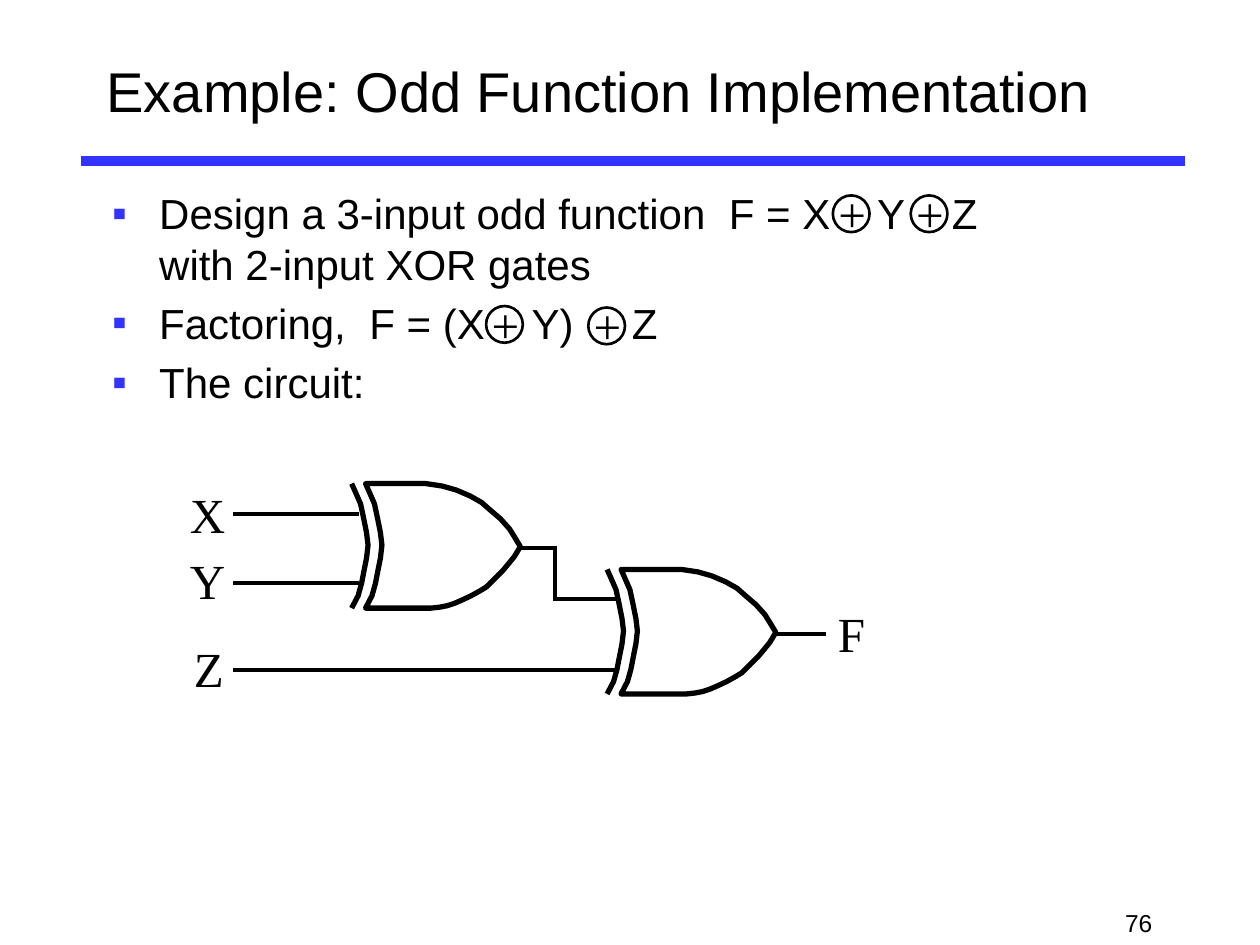
from dataclasses import dataclass

from lxml.etree import SubElement
from pptx import Presentation
from pptx.dml.color import RGBColor
from pptx.enum.shapes import MSO_CONNECTOR, MSO_SHAPE
from pptx.enum.text import MSO_ANCHOR, MSO_AUTO_SIZE
from pptx.oxml.ns import qn
from pptx.util import Cm, Pt

COLORS = {"ink": "000000", "accent": "3333FF"}
FONTS = {
    "title": {"name": "Arial", "size": Pt(32)},
    "body": {"name": "Arial", "size": Pt(24)},
    "number": {"name": "Arial", "size": Pt(14)},
    "label": {"name": "Times New Roman", "size": Pt(28)},
}
LABEL_FRAME = {"word_wrap": False, "auto_size": MSO_AUTO_SIZE.SHAPE_TO_FIT_TEXT}
WRAPPED_FRAME = {"word_wrap": True, "auto_size": MSO_AUTO_SIZE.NONE}

# Gate outline in hundredths of a centimetre, from its top left corner
UNIT = Cm(0.01)
GATE_REAR = [(0, 0), (8, 18), (18, 41), (24, 69), (30, 99), (33, 124),
             (30, 150), (25, 175), (20, 201), (13, 226), (0, 251)]
GATE_NOSE = [(92, 251), (132, 251), (150, 249), (165, 246), (180, 241), (196, 234),
             (213, 226), (231, 216), (244, 208), (254, 198), (267, 185),
             (277, 175), (287, 163), (300, 147), (312, 127), (300, 107),
             (290, 91), (272, 71), (251, 53), (234, 38), (211, 25),
             (183, 13), (155, 5), (122, 0)]
BOW_OFFSET = -28  # the second rear curve of an XOR gate


@dataclass
class Label:
    text: str
    left: float
    top: float
    width: float
    style: str = "label"


@dataclass
class Wire:
    x1: float
    y1: float
    x2: float
    y2: float
    color: str = "ink"
    weight: float = 2.25


@dataclass
class Gap:
    """A single space widened by some points."""
    extra: float


SYMBOL_GAP = Gap(20)
BULLETS = [
    ["Design a 3-input odd function", Gap(6.7), "F = X", SYMBOL_GAP, "Y",
     SYMBOL_GAP, "Z\vwith 2-input XOR gates"],
    ["Factoring,", Gap(6.7), "F = (X", SYMBOL_GAP, "Y)", Gap(26.7), "Z"],
    ["The circuit:"],
]
XOR_SYMBOLS = [(16.79, 3.94), (18.36, 3.94), (9.8, 6.17), (11.86, 6.2)]
GATES = [(7.37, 9.75), (12.52, 11.48)]
WIRES = [
    Wire(4.7, 10.36, 7.24, 10.36),  # X
    Wire(4.7, 11.76, 7.24, 11.76),  # Y
    Wire(4.7, 13.51, 12.4, 13.51),  # Z
    Wire(10.44, 11.05, 11.23, 11.05),  # first gate to second gate
    Wire(11.18, 11.05, 11.18, 12.07),
    Wire(11.15, 12.07, 12.45, 12.07),
    Wire(15.62, 12.78, 16.66, 12.78),  # F
]
LABELS = [
    Label("X", 3.58, 9.65, 1.22),
    Label("Y", 3.58, 10.97, 1.22),
    Label("Z", 3.66, 12.75, 1.12),
    Label("F", 16.64, 12.04, 1.07),
    Label("76", 22.43, 18.19, 1.12, "number"),
]


def rgb(color: str) -> RGBColor:
    return RGBColor.from_string(COLORS[color])


def set_line(line, color: str, weight: float) -> None:
    line.color.rgb = rgb(color)
    line.width = Pt(weight)


def add_run(paragraph, text: str, style: str):
    run = paragraph.add_run()
    run.text = text
    for name, value in FONTS[style].items():
        setattr(run.font, name, value)
    run.font.color.rgb = rgb("ink")
    return run


def add_frame(slide, left: float, top: float, width: float, height: float, settings: dict):
    frame = slide.shapes.add_textbox(Cm(left), Cm(top), Cm(width), Cm(height)).text_frame
    for name, value in settings.items():
        setattr(frame, name, value)
    return frame


def add_label(slide, label: Label) -> None:
    height = 1.45 if label.style == "label" else 0.86
    frame = add_frame(slide, label.left, label.top, label.width, height, LABEL_FRAME)
    add_run(frame.paragraphs[0], label.text, label.style)


def add_wire(slide, wire: Wire) -> None:
    connector = slide.shapes.add_connector(
        MSO_CONNECTOR.STRAIGHT, Cm(wire.x1), Cm(wire.y1), Cm(wire.x2), Cm(wire.y2))
    set_line(connector.line, wire.color, wire.weight)
    SubElement(connector._element.spPr, qn("a:effectLst"))


def style_outline(shape, weight: float) -> None:
    shape.shadow.inherit = False
    shape.fill.background()
    set_line(shape.line, "ink", weight)


def add_bullet(paragraph, parts: list) -> None:
    paragraph.space_before = Pt(5)
    properties = paragraph._p.get_or_add_pPr()
    properties.set("marL", str(Cm(0.95)))
    properties.set("indent", str(-Cm(0.95)))
    bullet_color = SubElement(properties, qn("a:buClr"))
    SubElement(bullet_color, qn("a:srgbClr"), val=COLORS["accent"])
    SubElement(properties, qn("a:buFont"), typeface="Arial")
    SubElement(properties, qn("a:buChar"), char="▪")
    for part in parts:
        if isinstance(part, Gap):
            run = add_run(paragraph, " ", "body")
            run._r.get_or_add_rPr().set("spc", str(round(part.extra * 100)))
            continue
        for index, line in enumerate(part.split("\v")):
            if index:
                paragraph.add_line_break()
            add_run(paragraph, line, "body")


def add_xor_symbol(slide, left: float, top: float) -> None:
    circle = slide.shapes.add_shape(
        MSO_SHAPE.OVAL, Cm(left), Cm(top), Cm(0.74), Cm(0.74))
    style_outline(circle, 1.5)
    add_label(slide, Label("+", left - 0.14, top - 0.36, 1.07))


def add_curve(slide, left: float, top: float, points: list, closed: bool) -> None:
    start, *rest = points
    builder = slide.shapes.build_freeform(*start, scale=UNIT)
    builder.add_line_segments(rest, close=closed)
    style_outline(builder.convert_to_shape(Cm(left), Cm(top)), 3)


def add_xor_gate(slide, left: float, top: float) -> None:
    add_curve(slide, left, top, GATE_REAR + GATE_NOSE, True)
    bow = [(x + BOW_OFFSET, y) for x, y in GATE_REAR]
    add_curve(slide, left, top, bow, False)


def main() -> None:
    presentation = Presentation()
    presentation.slide_width, presentation.slide_height = Cm(25.4), Cm(19.05)
    slide = presentation.slides.add_slide(presentation.slide_layouts[6])

    # Title and rule
    add_wire(slide, Wire(1.63, 3.25, 23.88, 3.25, "accent", 6))
    title = add_frame(slide, 1.9, 0.64, 23.5, 2.34, WRAPPED_FRAME)
    title.vertical_anchor = MSO_ANCHOR.MIDDLE
    add_run(title.paragraphs[0], "Example: Odd Function Implementation", "title")

    # Bullets with XOR symbols in their gaps
    body = add_frame(slide, 2.01, 3.66, 21.59, 13.97, WRAPPED_FRAME)
    for index, parts in enumerate(BULLETS):
        add_bullet(body.add_paragraph() if index else body.paragraphs[0], parts)
    for left, top in XOR_SYMBOLS:
        add_xor_symbol(slide, left, top)

    # Circuit and slide number
    for left, top in GATES:
        add_xor_gate(slide, left, top)
    for wire in WIRES:
        add_wire(slide, wire)
    for label in LABELS:
        add_label(slide, label)

    presentation.save("out.pptx")


if __name__ == "__main__":
    main()
